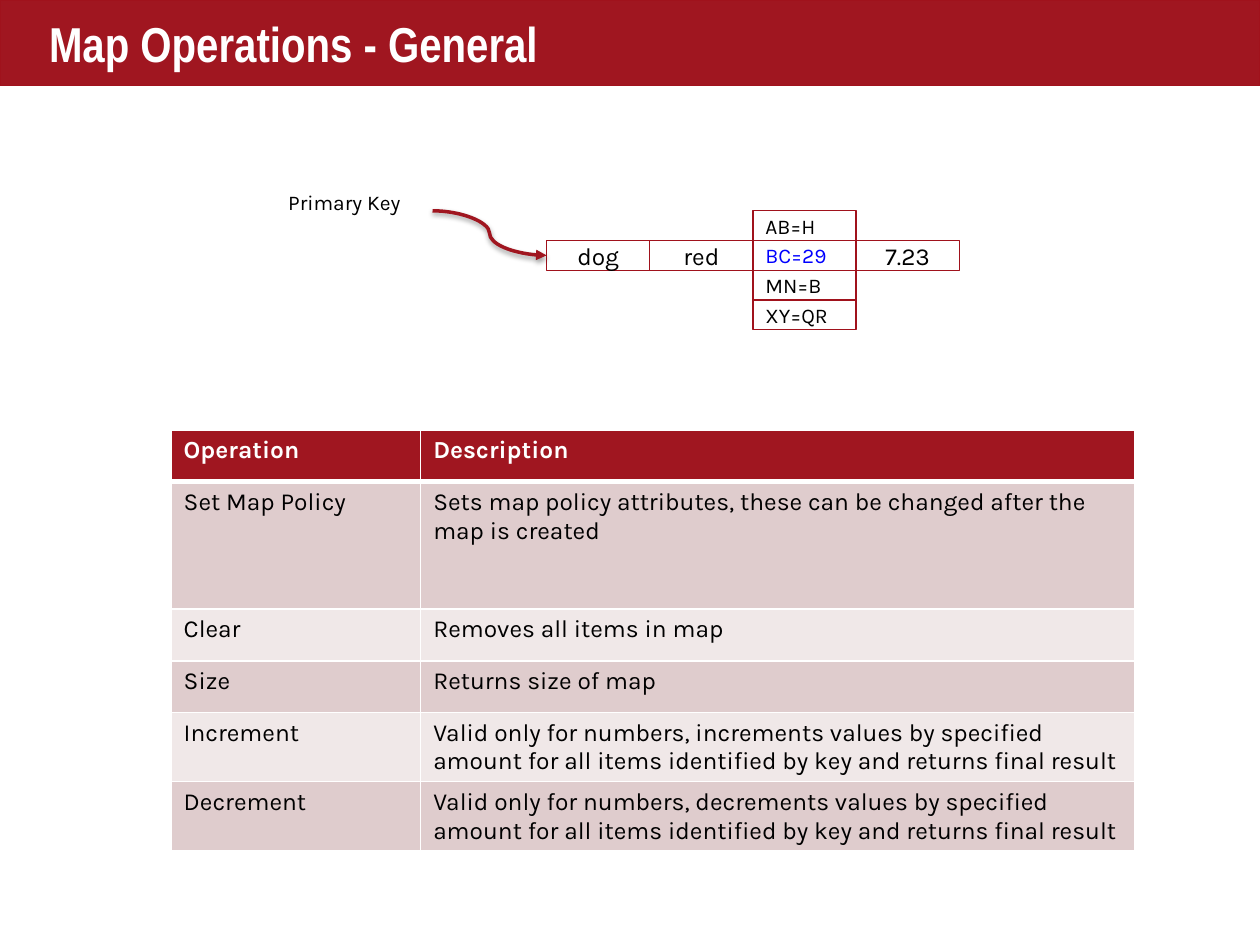
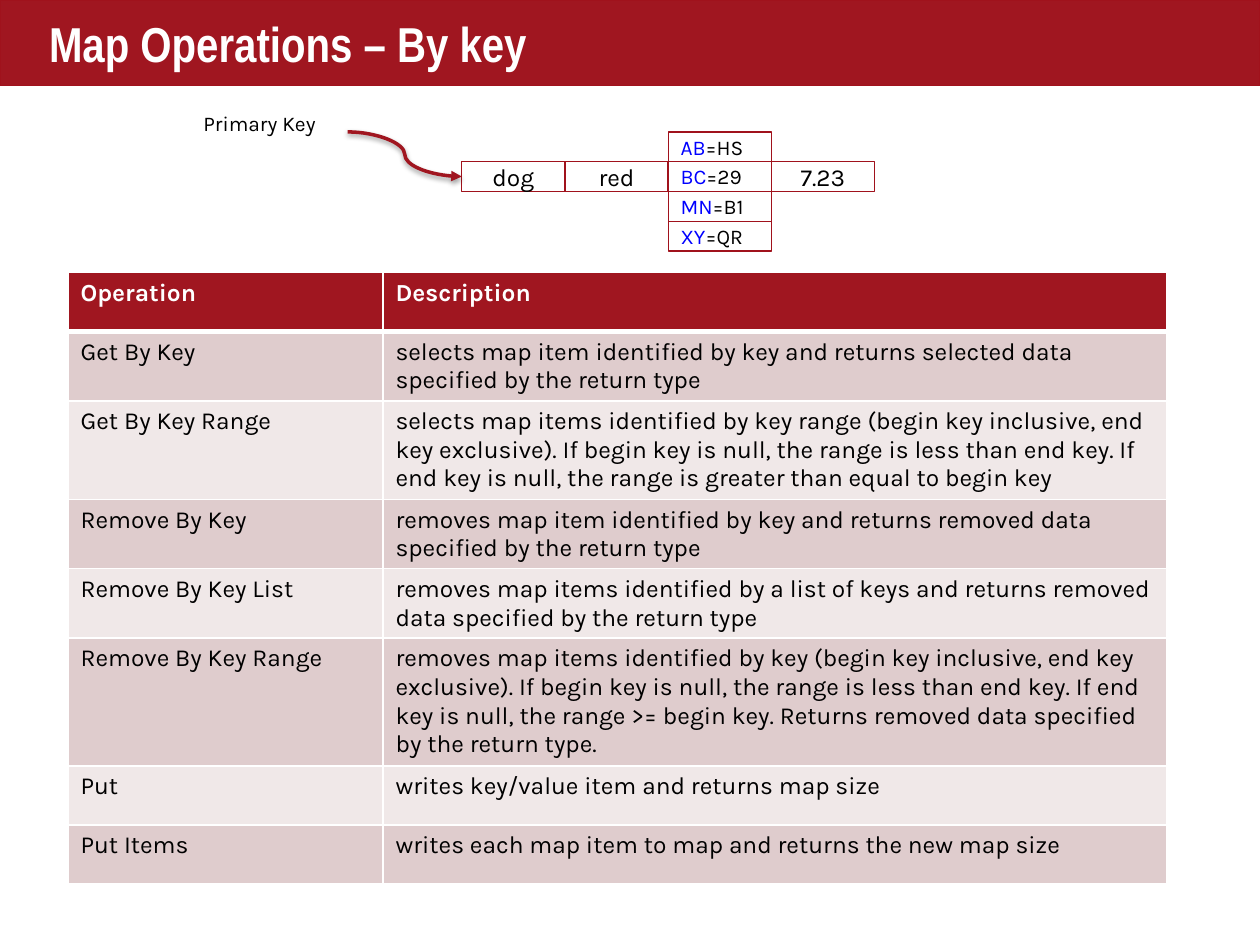
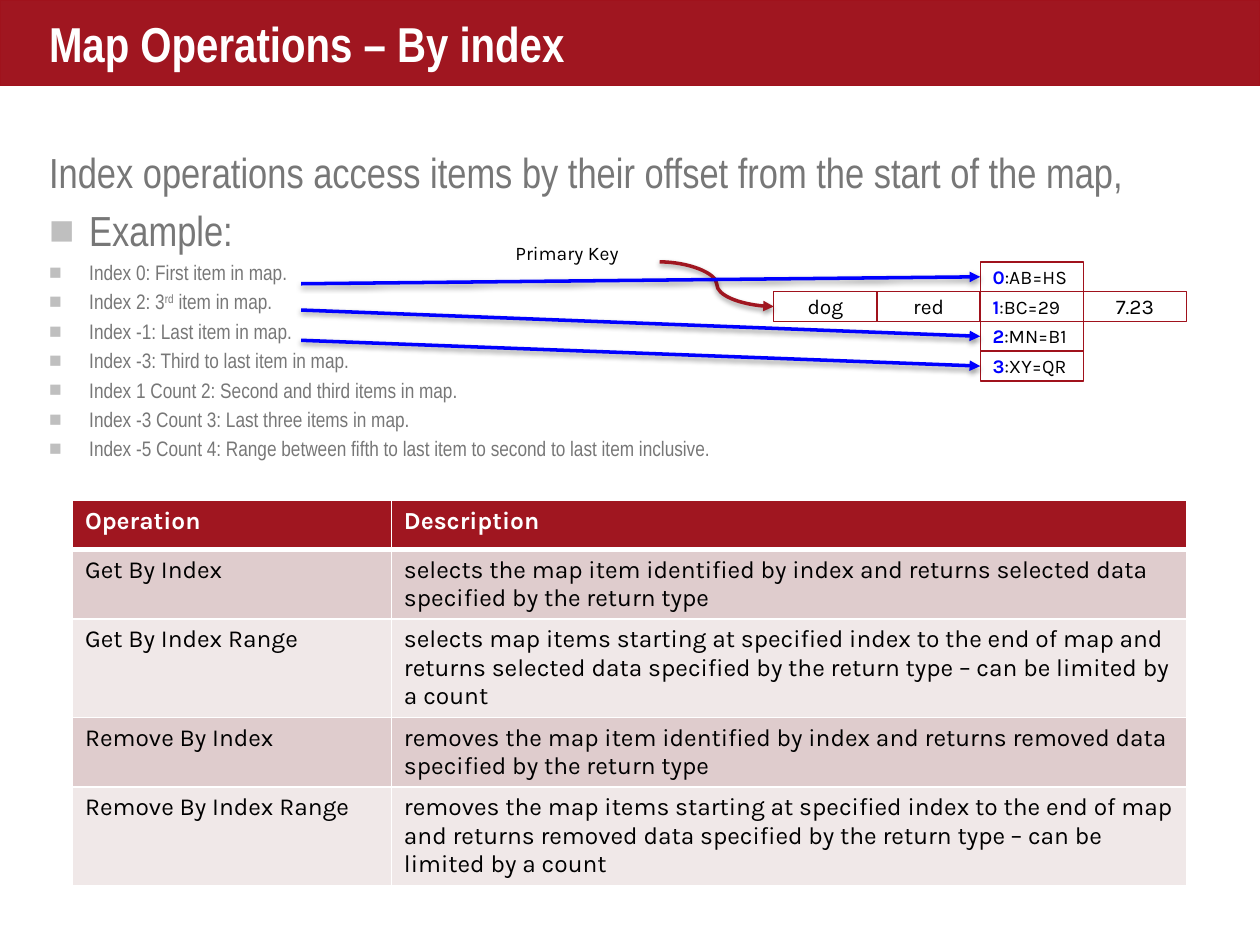
from lxml import etree
from pptx import Presentation
from pptx.dml.color import RGBColor
from pptx.enum.shapes import MSO_CONNECTOR as Connector, MSO_SHAPE as Shape
from pptx.enum.text import MSO_ANCHOR as Anchor, PP_ALIGN as Align
from pptx.oxml.ns import qn
from pptx.util import Cm, Pt

RED = RGBColor(0xA0, 0x16, 0x20)
OUTLINE = RGBColor(0xA0, 0x12, 0x1C)
BLUE = RGBColor(0x00, 0x00, 0xFF)
BLACK = RGBColor(0x00, 0x00, 0x00)
WHITE = RGBColor(0xFF, 0xFF, 0xFF)
GREY = RGBColor(0x77, 0x77, 0x77)
BULLET_GREY = RGBColor(0xBF, 0xBF, 0xBF)
BANDS = RGBColor(0xF0, 0xE8, 0xE8), RGBColor(0xDF, 0xCC, 0xCD)

HEADING_FONT, BODY_FONT = "Arial Narrow", "Karla"
CELL_WIDTH, CELL_HEIGHT = 2.08, 0.6


def add_xml(parent, tag, **attributes):
    child = etree.SubElement(parent, qn(tag))
    for name, value in attributes.items():
        child.set(name, str(value))
    return child


def write(para, text, size=14, font=BODY_FONT, color=BLACK, bold=False, align=Align.LEFT):
    """Fill a paragraph; text is a string or a list of (string, overrides) spans."""
    para.alignment = align
    for words, changes in [(text, {})] if isinstance(text, str) else text:
        span = para.add_run()
        span.text = words
        span.font.name = font
        span.font.size = Pt(changes.get("size", size))
        span.font.bold = changes.get("bold", bold)
        span.font.color.rgb = changes.get("color", color)
        if changes.get("superscript"):
            span._r.get_or_add_rPr().set("baseline", "30000")


class SlideBuilder:
    def __init__(self):
        self.deck = Presentation()
        self.deck.slide_width, self.deck.slide_height = Cm(25.4), Cm(19.05)
        self.page = None

    def start(self, title):
        self.page = self.deck.slides.add_slide(self.deck.slide_layouts[6])
        self.rectangle(0, 0, 25.4, 1.73, fill=RED)
        frame = self.text_frame(0.74, 0.06, 23.44, 1.6)
        frame.vertical_anchor = Anchor.MIDDLE
        write(frame.paragraphs[0], title, size=28, font=HEADING_FONT, color=WHITE, bold=True)

    def text_frame(self, left, top, width, height):
        box = self.page.shapes.add_textbox(Cm(left), Cm(top), Cm(width), Cm(height))
        box.text_frame.word_wrap = True
        return box.text_frame

    def rectangle(self, left, top, width, height, text="", fill=None, **style):
        box = self.page.shapes.add_shape(
            Shape.RECTANGLE, Cm(left), Cm(top), Cm(width), Cm(height))
        box.shadow.inherit = False
        box.line.color.rgb = OUTLINE
        box.line.width = Pt(0.75)
        if fill is None:
            box.fill.background()
        else:
            box.fill.solid()
            box.fill.fore_color.rgb = fill
        if text:
            box.text_frame.vertical_anchor = Anchor.MIDDLE
            write(box.text_frame.paragraphs[0], text, **style)
        return box

    def arrow(self, kind, left, top, target, color):
        """Draw an arrow from a point to the left side of the target box."""
        line = self.page.shapes.add_connector(
            kind, Cm(left), Cm(top), target.left, target.top + target.height // 2)
        line.end_connect(target, 1)
        line.line.color.rgb = color
        line.line.width = Pt(2)
        add_xml(line.line._get_or_add_ln(), "a:tailEnd", type="triangle")
        effects = add_xml(line._element.spPr, "a:effectLst")
        shadow = add_xml(effects, "a:outerShdw", blurRad=Pt(3.1), dist=Pt(1.6),
                         dir=5400000, rotWithShape=0)
        add_xml(add_xml(shadow, "a:srgbClr", val=BLACK), "a:alpha", val=38000)

    def record(self, left, top, items, size=14, item_size=12):
        """Draw a record whose third field is a map; return the map item boxes."""
        row_top = top + CELL_HEIGHT
        fields = [
            self.rectangle(left + column * CELL_WIDTH, row_top, CELL_WIDTH, CELL_HEIGHT,
                           text, size=size, align=Align.CENTER)
            for column, text in ((0, "dog"), (1, "red"), (3, "7.23"))]
        boxes = [
            self.rectangle(left + 2 * CELL_WIDTH, top + row * CELL_HEIGHT,
                           CELL_WIDTH, CELL_HEIGHT, item, size=item_size)
            for row, item in enumerate(items)]
        self.arrow(Connector.CURVE, left - 2.3, top, fields[0], RED)
        label = self.text_frame(left - 5.46, top - 0.55, 3.1, 0.76)
        write(label.paragraphs[0], "Primary Key", size=item_size)
        return boxes

    def bullets(self, left, top, width, height, lines):
        """Write (text, size, bulleted) lines as a list."""
        frame = self.text_frame(left, top, width, height)
        for index, (text, size, bulleted) in enumerate(lines):
            para = frame.add_paragraph() if index else frame.paragraphs[0]
            write(para, text, size=size, font=HEADING_FONT, color=GREY)
            para.space_before = Pt(size * 0.2)
            if bulleted:
                properties = para._p.get_or_add_pPr()
                properties.set("marL", str(Cm(0.81)))
                properties.set("indent", str(-Cm(0.81)))
                add_xml(add_xml(properties, "a:buClr"), "a:srgbClr", val=BULLET_GREY)
                add_xml(properties, "a:buFont", typeface="Arial")
                add_xml(properties, "a:buChar", char="■")

    def table_cell(self, cell, text, row):
        header = row == 0
        properties = cell._tc.get_or_add_tcPr()
        for side in "LRTB":
            thick = (side, row) in (("B", 0), ("T", 1))
            border = add_xml(properties, f"a:ln{side}", w=Pt(3 if thick else 1))
            add_xml(add_xml(border, "a:solidFill"), "a:srgbClr", val=WHITE)
        cell.fill.solid()
        cell.fill.fore_color.rgb = RED if header else BANDS[row % 2]
        cell.margin_bottom = Cm(0.08)
        write(cell.text_frame.paragraphs[0], text,
              color=WHITE if header else BLACK, bold=header)

    def operations(self, left, top, widths, header_height, rows):
        """Draw the table of (height, operation, description) rows."""
        rows = [(header_height, "Operation", "Description"), *rows]
        heights = [row[0] for row in rows]
        table = self.page.shapes.add_table(
            len(rows), len(widths), Cm(left), Cm(top), Cm(sum(widths)), Cm(sum(heights))).table
        for column, width in zip(table.columns, widths):
            column.width = Cm(width)
        for index, (height, *texts) in enumerate(rows):
            table.rows[index].height = Cm(height)
            for column, text in enumerate(texts):
                self.table_cell(table.cell(index, column), text, index)


def general_slide(builder):
    builder.start("Map Operations - General")
    builder.operations(3.45, 8.67, (5.03, 14.4), 1.04, [
        (2.57, "Set Map Policy",
         "Sets map policy attributes, these can be changed after the map is created"),
        (1.04, "Clear", "Removes all items in map"),
        (1.04, "Size", "Returns size of map"),
        *[(1.4, f"{verb}rement",
           f"Valid only for numbers, {verb.lower()}rements values by specified amount "
           "for all items identified by key and returns final result")
          for verb in ("Inc", "Dec")],
    ])
    builder.record(11.02, 4.25, ["AB=H", [("BC=29", {"color": BLUE})], "MN=B", "XY=QR"])


def key_slide(builder):
    builder.start("Map Operations – By key")
    builder.operations(1.37, 5.49, (6.35, 15.8), 1.19, [
        (1.4, "Get By Key", "selects map item identified by key and returns selected data "
         "specified by the return type"),
        (1.97, "Get By Key Range", "selects map items identified by key range (begin key "
         "inclusive, end key exclusive). If begin key is null, the range is less than end "
         "key. If end key is null, the range is greater than equal to begin key"),
        (1.4, "Remove By Key", "removes map item identified by key and returns removed data "
         "specified by the return type"),
        (1.4, "Remove By Key List", "removes map items identified by a list of keys and "
         "returns removed data specified by the return type"),
        (2.56, "Remove By Key Range", "removes map items identified by key (begin key "
         "inclusive, end key exclusive). If begin key is null, the range is less than end "
         "key. If end key is null, the range >= begin key. Returns removed data specified "
         "by the return type."),
        (1.19, "Put", "writes key/value item and returns map size"),
        (1.19, "Put Items", "writes each map item to map and returns the new map size"),
    ])
    pairs = (("AB", "HS"), ("BC", "29"), ("MN", "B1"), ("XY", "QR"))
    builder.record(9.31, 2.66, [
        [(key, {"color": BLUE}), (f"={value}", {})] for key, value in pairs])


def index_slide(builder):
    builder.start("Map Operations – By index")
    examples = [
        "Index 0: First item in map.",
        [("Index 2: 3", {}), ("rd", {"superscript": True}), (" item in map.", {})],
        "Index -1: Last item in map.",
        "Index -3: Third to last item in map.",
        "Index 1 Count 2: Second and third items in map.",
        "Index -3 Count 3: Last three items in map.",
        "Index -5 Count 4: Range between fifth to last item to second to last item inclusive.",
    ]
    builder.bullets(0.74, 2.82, 23.93, 14.02, [
        ("Index operations access items by their offset from the start of the map,", 24, False),
        ("Example:", 24, True),
        *[(example, 12, True) for example in examples],
    ])
    builder.operations(1.46, 10.09, (6.43, 16.03), 0.99, [
        (1.4, "Get By Index", "selects the map item identified by index and returns selected "
         "data specified by the return type"),
        (1.97, "Get By Index Range", "selects map items starting at specified index to the "
         "end of map and returns selected data specified by the return type – can be limited "
         "by a count"),
        (1.4, "Remove By Index", "removes the map item identified by index and returns "
         "removed data specified by the return type"),
        (1.97, "Remove By Index Range", [
            ("removes the map items starting at specified index to the end of map and "
             "returns removed data specified by the return type", {}),
            (" ", {"size": 10}),
            ("– can be limited by a count", {})]),
    ])
    items = builder.record(15.6, 5.28, [
        [(str(index), {"color": BLUE, "bold": True}), (f":{item}", {})]
        for index, item in enumerate(("AB=HS", "BC=29", "MN=B1", "XY=QR"))],
        size=12, item_size=11)
    for top, index in ((5.72, 0), (6.25, 2), (6.86, 3)):
        builder.arrow(Connector.STRAIGHT, 6.07, top, items[index], BLUE)


def main():
    builder = SlideBuilder()
    for build in (general_slide, key_slide, index_slide):
        build(builder)
    builder.deck.save("out.pptx")


if __name__ == "__main__":
    main()
